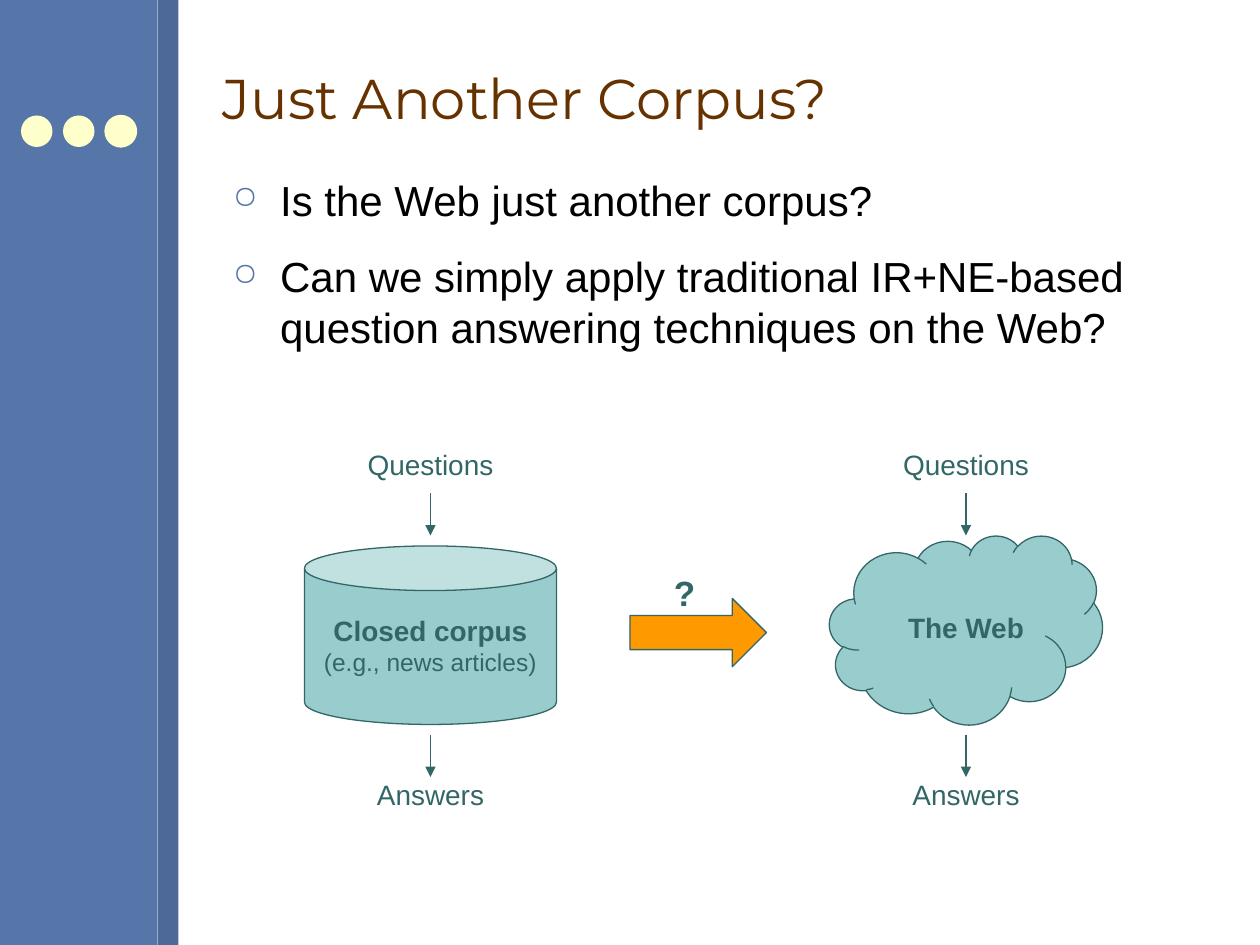
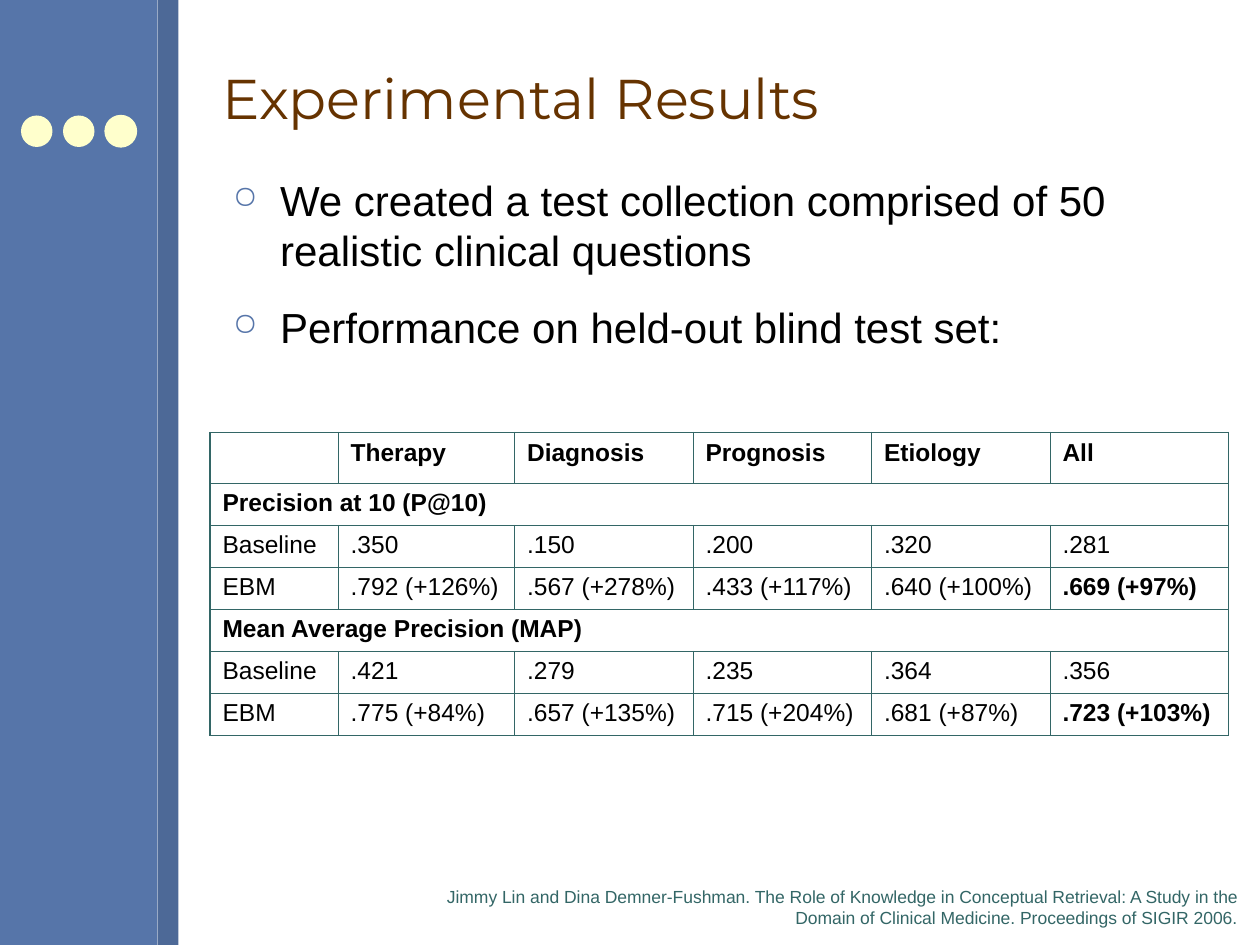
from dataclasses import dataclass

from pptx import Presentation
from pptx import util as u
from pptx.dml import color
from pptx.enum import shapes, text
from pptx.oxml import ns, xmlchemy

PX = 7620


@dataclass(frozen=True)
class Theme:
    band: str = "5675A9"
    stripe: str = "4D6997"
    dot: str = "FFFFCC"
    title: str = "663300"
    body: str = "000000"
    teal: str = "336666"
    store: str = "99CCCC"
    arrow: str = "FF9900"
    heading_font: str = "Montserrat"
    font: str = "Arial"
    title_size: int = 32
    body_size: int = 24
    mark_size: int = 20
    label_size: int = 16
    small_size: int = 14
    source_size: int = 10
    hairline: float = 0.75
    inner_border: float = 0.45
    outer_border: float = 1.08


T = Theme()
ALIGN = text.PP_ALIGN
SHAPE = shapes.MSO_SHAPE


def emu(*lengths):
    return [u.Emu(n * PX) for n in lengths]


def rgb(value):
    return color.RGBColor.from_string(value)


def element(parent, tag, **attrs):
    child = xmlchemy.OxmlElement(tag)
    for name, value in attrs.items():
        child.set(name, str(value))
    parent.append(child)
    return child


def style(p, size, ink, bold=False, font=T.font):
    p.font.name = font
    p.font.size = u.Pt(size)
    p.font.bold = bold
    p.font.color.rgb = rgb(ink)


def add_shape(slide, kind, box, fill, line=None):
    sp = slide.shapes.add_shape(kind, *emu(*box))
    sp.shadow.inherit = False
    sp.fill.solid()
    sp.fill.fore_color.rgb = rgb(fill)
    if line:
        sp.line.color.rgb = rgb(line)
        sp.line.width = u.Pt(T.hairline)
    else:
        sp.line.fill.background()
    return sp


def add_text(slide, box, lines, ink=T.teal, align=ALIGN.LEFT, font=T.font,
             anchor=text.MSO_ANCHOR.TOP, wrap=True):
    tf = slide.shapes.add_textbox(*emu(*box)).text_frame
    tf.word_wrap = wrap
    tf.vertical_anchor = anchor
    for i, (line, size, bold) in enumerate(lines):
        p = tf.add_paragraph() if i else tf.paragraphs[0]
        p.text = line
        p.alignment = align
        style(p, size, ink, bold, font)


def add_arrow(slide, x, top, bottom):
    c = slide.shapes.add_connector(
        shapes.MSO_CONNECTOR.STRAIGHT, *emu(x, top, x, bottom))
    c.line.color.rgb = rgb(T.teal)
    c.line.width = u.Pt(T.hairline)
    element(c.line._get_or_add_ln(), "a:tailEnd", type="triangle")
    element(c._element.spPr, "a:effectLst")


def side_band(slide):
    add_shape(slide, SHAPE.RECTANGLE, (0, 0, 150, 900), T.band)
    add_shape(slide, SHAPE.RECTANGLE, (150, 0, 20, 900), T.stripe)
    for i in range(3):
        add_shape(slide, SHAPE.OVAL, (20 + 40 * i, 110, 30, 30), T.dot,
                  T.dot if i == 2 else None)


def bullet_list(slide, box, items):
    tf = slide.shapes.add_textbox(*emu(*box)).text_frame
    tf.word_wrap = True
    for i, item in enumerate(items):
        p = tf.add_paragraph() if i else tf.paragraphs[0]
        p.text = item
        if i:
            p.space_before = u.Pt(7.5)
        p.space_after = u.Pt(7.5)
        pPr = p._p.get_or_add_pPr()
        indent = 45 * PX
        pPr.set("marL", str(indent))
        pPr.set("indent", str(-indent))
        element(element(pPr, "a:buClr"), "a:srgbClr", val=T.band)
        element(pPr, "a:buSzPct", val=75000)
        element(pPr, "a:buChar", char="○")
        style(p, T.body_size, T.body)


def content_slide(prs, title, bullets):
    slide = prs.slides.add_slide(prs.slide_layouts[6])
    side_band(slide)
    add_text(slide, (200, 25, 960, 135), [(title, T.title_size, False)],
             T.title, font=T.heading_font, anchor=text.MSO_ANCHOR.MIDDLE)
    bullet_list(slide, (210, 160, 950, 250), bullets)
    return slide


def question_flow(slide, box, kind, store_top, label_top, label):
    x, y, w, h = box
    middle = x + w // 2
    add_shape(slide, kind, (x, y + store_top, w, 270 - store_top),
              T.store, T.teal)
    add_text(slide, (x, y + label_top, w, 72), label, align=ALIGN.CENTER)
    for caption, top in (("Questions", y), ("Answers", y + h - 45)):
        add_text(slide, (middle - 80, top, 160, 45),
                 [(caption, T.label_size, False)], align=ALIGN.CENTER)
    for top in (y + 50, y + 280):
        add_arrow(slide, middle, top, top + 40)


def transfer_arrow(slide, box):
    x, y, w, h = box
    add_shape(slide, SHAPE.RIGHT_ARROW, box, T.arrow, T.teal)
    add_text(slide, (x + 30, y - 32, 44, 52),
             [("?", T.mark_size, True)], wrap=False)


def set_borders(cell, weights):
    tcPr = cell._tc.get_or_add_tcPr()
    for i, (side, weight) in enumerate(zip("LRTB", weights)):
        ln = xmlchemy.OxmlElement("a:ln" + side)
        ln.set("w", str(u.Pt(weight)))
        element(element(ln, "a:solidFill"), "a:srgbClr", val=T.teal)
        tcPr.insert(i, ln)


def results_table(slide, box, widths, heights, rows):
    table = slide.shapes.add_table(
        len(rows), len(widths), *emu(*box)).table
    table.first_row = table.horz_banding = False
    for col, width in zip(table.columns, widths):
        col.width = u.Emu(width * PX)
    for row, height in zip(table.rows, heights):
        row.height = u.Emu(height * PX)
    last_row, last_col = len(rows) - 1, len(widths) - 1
    for r, values in enumerate(rows):
        section = len(values) == 1
        if section:
            table.cell(r, 0).merge(table.cell(r, last_col))
        for c, value in enumerate(values):
            cell = table.cell(r, c)
            cell.fill.background()
            outer = (c == 0, section or c == last_col, r == 0, r == last_row)
            set_borders(cell, [T.outer_border if edge else T.inner_border
                               for edge in outer])
            if value:
                p = cell.text_frame.paragraphs[0]
                p.text = value
                best = c == last_col and values[0] == "EBM"
                style(p, T.small_size, T.body, r == 0 or section or best)


def corpus_slide(prs):
    slide = content_slide(prs, "Just Another Corpus?", [
        "Is the Web just another corpus?",
        "Can we simply apply traditional IR+NE-based question answering "
        "techniques on the Web?",
    ])
    question_flow(slide, (290, 420, 240, 360), SHAPE.CAN, 100, 158, [
        ("Closed corpus", T.label_size, True),
        ("(e.g., news articles)", T.small_size, False),
    ])
    question_flow(slide, (790, 420, 260, 360), SHAPE.CLOUD, 90, 156, [
        ("The Web", T.label_size, True),
    ])
    transfer_arrow(slide, (600, 570, 130, 65))


def results_slide(prs):
    slide = content_slide(prs, "Experimental Results", [
        "We created a test collection comprised of 50 realistic clinical "
        "questions",
        "Performance on held-out blind test set:",
    ])
    results_table(
        slide, (200, 412, 970, 286), [122, 168] + [170] * 4, [46] + [40] * 6, [
            ["", "Therapy", "Diagnosis", "Prognosis", "Etiology", "All"],
            ["Precision at 10 (P@10)"],
            ["Baseline", ".350", ".150", ".200", ".320", ".281"],
            ["EBM", ".792 (+126%)", ".567 (+278%)", ".433 (+117%)",
             ".640 (+100%)", ".669 (+97%)"],
            ["Mean Average Precision (MAP)"],
            ["Baseline", ".421", ".279", ".235", ".364", ".356"],
            ["EBM", ".775 (+84%)", ".657 (+135%)", ".715 (+204%)",
             ".681 (+87%)", ".723 (+103%)"],
        ])
    add_text(slide, (360, 838, 830, 53), [(
        "Jimmy Lin and Dina Demner-Fushman. The Role of Knowledge in "
        "Conceptual Retrieval: A Study in the Domain of Clinical Medicine. "
        "Proceedings of SIGIR 2006.", T.source_size, False)],
        align=ALIGN.RIGHT)


def main():
    prs = Presentation()
    prs.slide_width, prs.slide_height = emu(1200, 900)
    corpus_slide(prs)
    results_slide(prs)
    prs.save("out.pptx")


if __name__ == "__main__":
    main()
